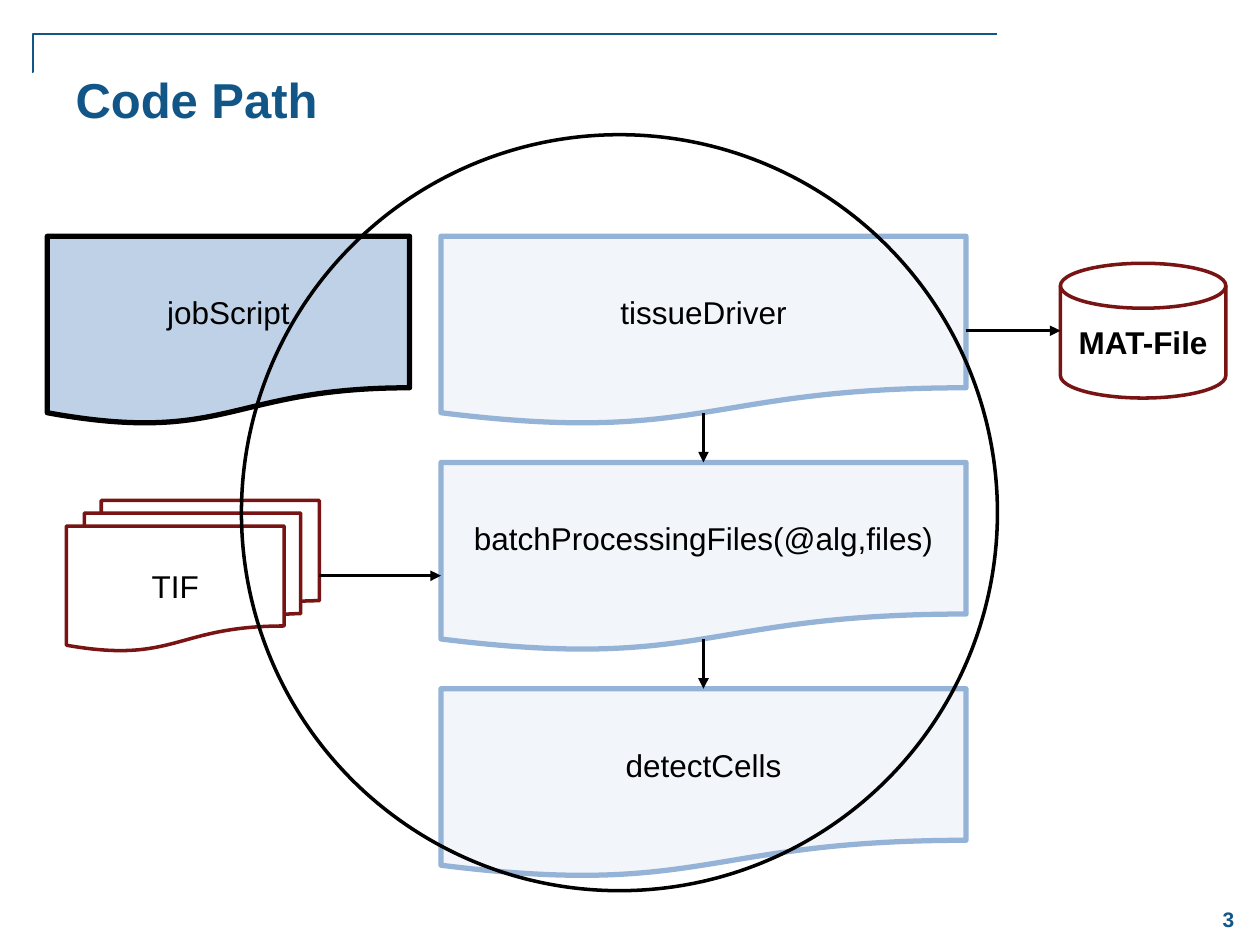
import pptx
import pptx.dml.color
import pptx.enum.shapes
import pptx.enum.text
import pptx.oxml
import pptx.oxml.ns
import pptx.util
from dataclasses import dataclass
from typing import Optional

Pt = pptx.util.Pt
Kind = pptx.enum.shapes.MSO_SHAPE
Link = pptx.enum.shapes.MSO_CONNECTOR
Align = pptx.enum.text.PP_ALIGN
Anchor = pptx.enum.text.MSO_ANCHOR

NAVY, BLACK, MAROON = "125687", "000000", "781414"
PALE, EDGE = "BFD1E7", "95B3D7"
TOP, BOTTOM, RIGHT = 0, 2, 3
STEP_LEFT, STEP_TOP, STEP_WIDTH, STEP_HEIGHT = 252, 135, 300, 108
STEP_PITCH = 129.3
WAVE_MIDDLE = 0.934 * STEP_HEIGHT


@dataclass
class Node:
    kind: int
    left: float
    top: float
    width: float
    height: float
    line: str
    weight: float = 2
    label: str = ""
    fill: Optional[str] = None
    opacity: int = 100
    bold: bool = False


def rgb(value: str):
    return pptx.dml.color.RGBColor.from_string(value)


def add_xml(parent, tag: str, **attributes: str):
    child = pptx.oxml.parse_xml(f"<{tag} {pptx.oxml.ns.nsdecls('a')}/>")
    for name, value in attributes.items():
        child.set(name, value)
    parent.append(child)
    return child


def write(frame, text: str, *, size=18, color=BLACK, bold=False,
          align=Align.CENTER, anchor=Anchor.MIDDLE):
    frame.word_wrap = True
    frame.vertical_anchor = anchor
    paragraph = frame.paragraphs[0]
    paragraph.alignment = align
    run = paragraph.add_run()
    run.text = text
    run.font.name = "Arial"
    run.font.size = Pt(size)
    run.font.bold = bold
    run.font.color.rgb = rgb(color)


def draw_node(slide, node: Node):
    shape = slide.shapes.add_shape(
        node.kind, Pt(node.left), Pt(node.top), Pt(node.width), Pt(node.height))
    shape.shadow.inherit = False
    shape.line.color.rgb = rgb(node.line)
    shape.line.width = Pt(node.weight)
    if node.fill:
        shape.fill.solid()
        shape.fill.fore_color.rgb = rgb(node.fill)
        if node.opacity < 100:
            tint = shape.fill._xPr.find(".//" + pptx.oxml.ns.qn("a:srgbClr"))
            add_xml(tint, "a:alpha", val=str(node.opacity * 1000))
    else:
        shape.fill.background()
    if node.label:
        write(shape.text_frame, node.label, bold=node.bold)
    return shape


def draw_line(slide, start, end, kind=Link.STRAIGHT, color=BLACK, weight=2.0):
    line = slide.shapes.add_connector(kind, *(Pt(v) for v in (*start, *end)))
    line.line.color.rgb = rgb(color)
    line.line.width = Pt(weight)
    add_xml(line._element.spPr, "a:effectLst")
    return line


def draw_arrow(slide, start, end):
    arrow = draw_line(slide, start, end)
    add_xml(arrow.line._get_or_add_ln(), "a:tailEnd", type="triangle")
    return arrow


def draw_frame(slide):
    corner = draw_line(slide, (570, 19.5), (18.3, 41), Link.ELBOW, NAVY, 1)
    guides = corner._element.spPr.prstGeom.get_or_add_avLst()
    add_xml(guides, "a:gd", name="adj1", fmla="val 99900")
    number = slide.shapes.add_textbox(Pt(684), Pt(510.5), Pt(36), Pt(30))
    write(number.text_frame, "3", size=12, color=NAVY, bold=True)
    title = slide.shapes.title
    title.left, title.top, title.width, title.height = Pt(36), Pt(36), Pt(636), Pt(78)
    write(title.text_frame, "Code Path", size=28, color=NAVY, bold=True,
          align=Align.LEFT, anchor=Anchor.TOP)


def draw_flow(slide):
    document = Kind.FLOWCHART_DOCUMENT
    labels = ["tissueDriver", "batchProcessingFiles(@alg,files)", "detectCells"]
    steps = [
        draw_node(slide, Node(document, STEP_LEFT, STEP_TOP + i * STEP_PITCH,
                              STEP_WIDTH, STEP_HEIGHT, EDGE, 3, label, PALE, 20))
        for i, label in enumerate(labels)
    ]
    draw_node(slide, Node(document, 27, STEP_TOP, 207, STEP_HEIGHT,
                          BLACK, 3, "jobScript", PALE))
    images = draw_node(slide, Node(Kind.FLOWCHART_MULTIDOCUMENT, 38, 286, 144.5, 86,
                                   MAROON, label="TIF"))
    results = Node(Kind.FLOWCHART_MAGNETIC_DISK, 606, 150.5, 94.5, 77,
                   MAROON, label="MAT-File", bold=True)
    draw_node(slide, results)

    draw_arrow(slide, (182.5, 329), (STEP_LEFT, 329)).begin_connect(images, RIGHT)

    center = STEP_LEFT + STEP_WIDTH / 2
    for i, (upper, lower) in enumerate(zip(steps, steps[1:])):
        top = STEP_TOP + i * STEP_PITCH
        arrow = draw_arrow(slide, (center, top + WAVE_MIDDLE), (center, top + STEP_PITCH))
        arrow.begin_connect(upper, BOTTOM)
        arrow.end_connect(lower, TOP)
        arrow.begin_y = Pt(top + WAVE_MIDDLE)

    middle = STEP_TOP + STEP_HEIGHT / 2
    output = draw_arrow(slide, (STEP_LEFT + STEP_WIDTH, middle), (results.left, middle))
    output.begin_connect(steps[0], RIGHT)

    draw_node(slide, Node(Kind.FLOWCHART_CONNECTOR, 138, 77, 432, 432, BLACK))


def main():
    deck = pptx.Presentation()
    deck.slide_width, deck.slide_height = Pt(720), Pt(540)
    slide = deck.slides.add_slide(deck.slide_layouts[5])
    draw_frame(slide)
    draw_flow(slide)
    deck.save("out.pptx")


if __name__ == "__main__":
    main()
